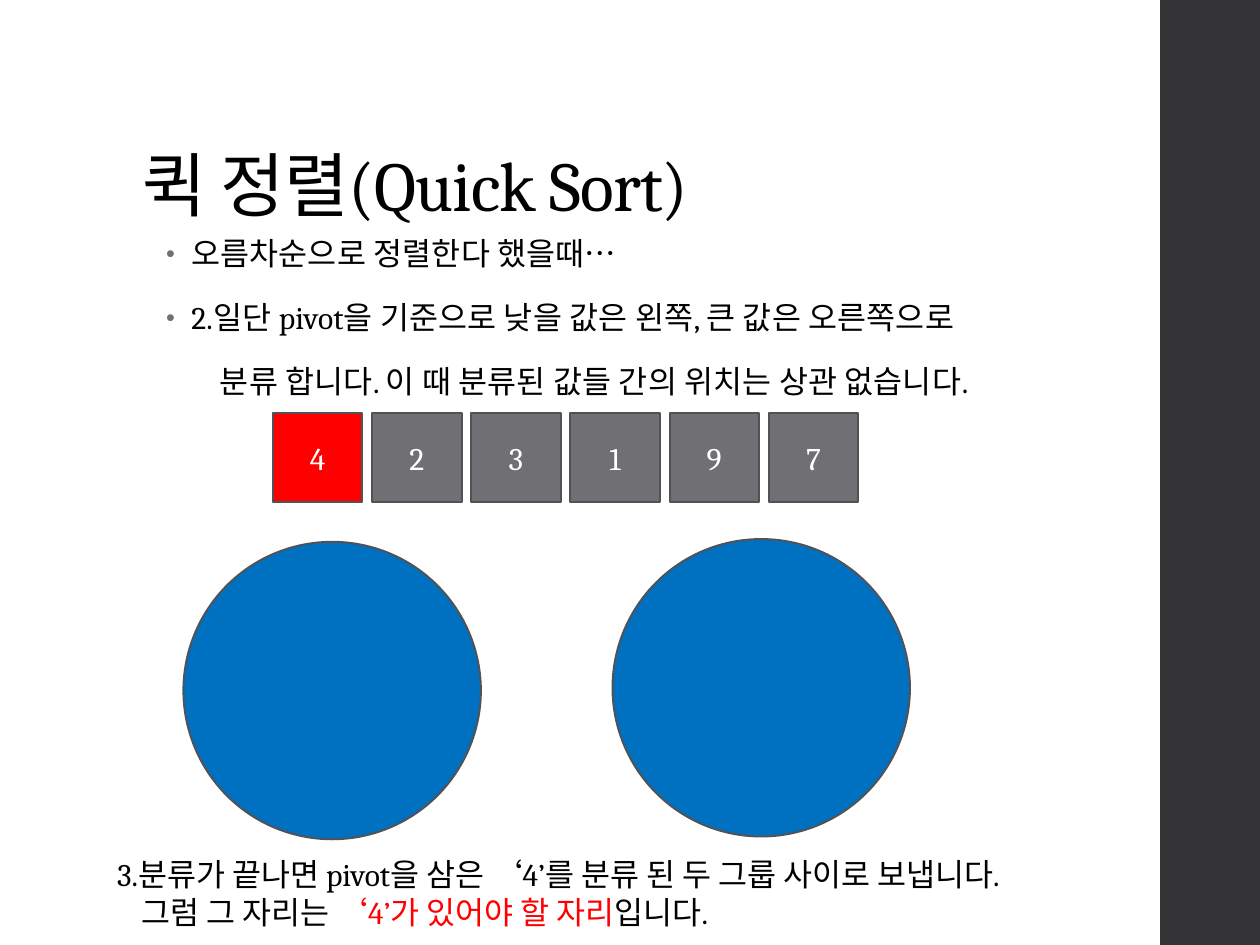
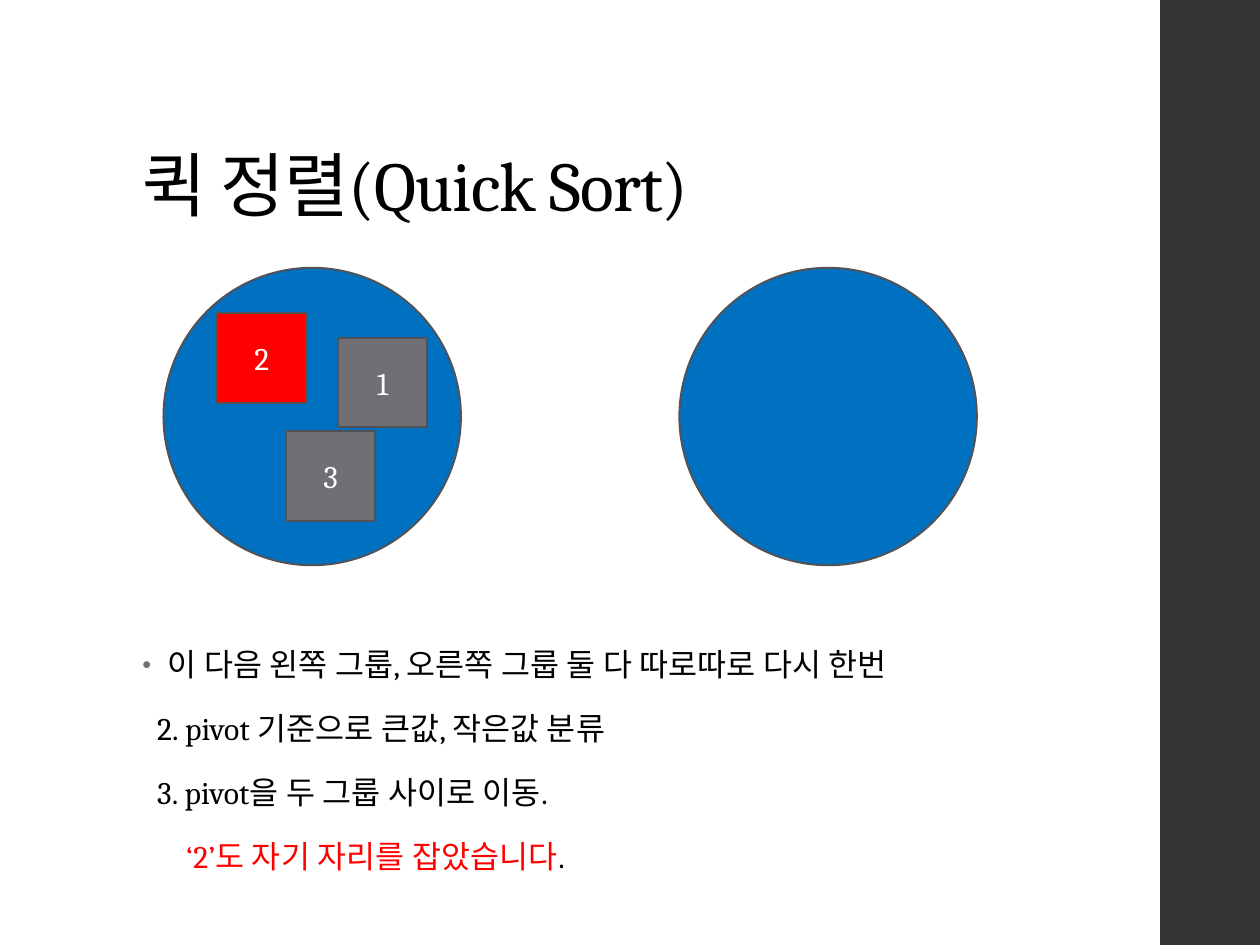
from dataclasses import dataclass

from lxml.etree import SubElement
from pptx import Presentation
from pptx.dml.color import RGBColor
from pptx.enum.shapes import MSO_SHAPE
from pptx.enum.text import MSO_ANCHOR, MSO_AUTO_SIZE, PP_ALIGN
from pptx.oxml.ns import qn
from pptx.util import Pt


@dataclass(frozen=True)
class Theme:
    font: str = "Cambria"
    title_size: int = 40
    text_size: int = 18
    text: str = "000000"
    light: str = "FFFFFF"
    accent: str = "FF0000"
    box: str = "6F6F74"
    group: str = "0070C0"
    outline: str = "525256"
    band: str = "353537"


theme = Theme()
BOX, CIRCLE = 51.1, 170

slides = [
    dict(
        body_at=(87.8, 131.8, 550, 342.7),
        body=[
            # (bullet, left indent, runs)
            (True, 14.4, [("오름차순으로 정렬한다 했을때…", theme.text)]),
            (True, 14.4, [("2.일단 pivot을 기준으로 낮을 값은 왼쪽, 큰 값은 오른쪽으로", theme.text)]),
            (False, 30.7, [("분류 합니다. 이 때 분류된 값들 간의 위치는 상관 없습니다.", theme.text)]),
        ],
        circles=[(104.8, 309.6), (350, 308)],
        boxes=[(n, 156 + 56.65 * i, 236) for i, n in enumerate("423197")],
        pivot="4",
    ),
    dict(
        body_at=(74.2, 366.5, 507.6, 153.4),
        body=[
            (True, 14.4, [("이 다음 왼쪽 그룹, 오른쪽 그룹 둘 다 따로따로 다시 한번", theme.text)]),
            (False, 8.4, [("2. pivot 기준으로 큰값, 작은값 분류", theme.text)]),
            (False, 8.4, [("3. pivot을 두 그룹 사이로 이동.", theme.text)]),
            (False, 25, [("‘2’도 자기 자리를 잡았습니다", theme.accent), (".", theme.text)]),
        ],
        circles=[(93.4, 153), (388.2, 153)],
        boxes=[("2", 124, 179), ("3", 163.4, 246.5), ("1", 193, 193)],
        pivot="2",
    ),
]
note = [
    (0, [("3.분류가 끝나면 pivot을 삼은 ‘4’를 분류 된 두 그룹 사이로 보냅니다.", theme.text)]),
    (14, [("그럼 그 자리는 ", theme.text), ("‘4’가 있어야 할 자리", theme.accent), ("입니다.", theme.text)]),
]


def add_runs(p, runs, size=theme.text_size, tracking=0):
    """Tracking is in hundredths of a point."""
    for text, color in runs:
        r = p.add_run()
        r.text = text
        r.font.name = theme.font
        r.font.size = Pt(size)
        r.font.color.rgb = RGBColor.from_string(color)
        if tracking:
            r._r.get_or_add_rPr().set("spc", str(tracking))


def add_filled(s, kind, at, fill, line=theme.outline):
    sp = s.shapes.add_shape(kind, *map(Pt, at))
    sp.shadow.inherit = False
    sp.fill.solid()
    sp.fill.fore_color.rgb = RGBColor.from_string(fill)
    if line:
        sp.line.color.rgb = RGBColor.from_string(line)
        sp.line.width = Pt(1.1)
    else:
        sp.line.fill.background()
    return sp


prs = Presentation()
prs.slide_width, prs.slide_height = Pt(720), Pt(540)
layout = prs.slide_layouts[1]

for number, content in enumerate(slides):
    s = prs.slides.add_slide(layout)

    # The side band belongs to the layout, so both slides inherit it
    if number == 0:
        band = add_filled(s, MSO_SHAPE.RECTANGLE, (663, 0, 57, 540), theme.band, line=None)
        layout.element.cSld.spTree.insert(2, band.element)

    title, body = s.placeholders[0], s.placeholders[1]
    for sp, at in ((title, (74.2, 28.8, 572.4, 104.4)), (body, content["body_at"])):
        sp.left, sp.top, sp.width, sp.height = map(Pt, at)
        sp.text_frame.auto_size = MSO_AUTO_SIZE.NONE
        sp.text_frame.word_wrap = True

    title.text_frame.vertical_anchor = MSO_ANCHOR.BOTTOM
    p = title.text_frame.paragraphs[0]
    p.alignment = PP_ALIGN.LEFT
    p.line_spacing = 0.9
    add_runs(p, [("퀵 정렬(Quick Sort)", theme.text)], theme.title_size, -50)

    tf = body.text_frame
    for i, (bullet, indent, runs) in enumerate(content["body"]):
        p = tf.add_paragraph() if i else tf.paragraphs[0]
        p.line_spacing = 0.95
        p.space_before, p.space_after = Pt(14), Pt(2)
        pPr = p._p.get_or_add_pPr()
        pPr.set("marL", str(Pt(indent)))
        pPr.set("indent", str(Pt(-indent if bullet else 0)))
        if bullet:
            color = SubElement(pPr, qn("a:buClr"))
            SubElement(color, qn("a:srgbClr"), val=theme.box)
            SubElement(pPr, qn("a:buSzPct"), val="80000")
            SubElement(pPr, qn("a:buFont"), typeface="Arial")
            SubElement(pPr, qn("a:buChar"), char="•")
        else:
            SubElement(pPr, qn("a:buNone"))
        add_runs(p, runs, tracking=10)

    for left, top in content["circles"]:
        add_filled(s, MSO_SHAPE.OVAL, (left, top, CIRCLE, CIRCLE), theme.group)

    for value, left, top in content["boxes"]:
        fill = theme.accent if value == content["pivot"] else theme.box
        sp = add_filled(s, MSO_SHAPE.RECTANGLE, (left, top, BOX, BOX), fill)
        tf = sp.text_frame
        tf.vertical_anchor = MSO_ANCHOR.MIDDLE
        tf.paragraphs[0].alignment = PP_ALIGN.CENTER
        add_runs(tf.paragraphs[0], [(value, theme.light)])

    if number == 0:
        tf = s.shapes.add_textbox(Pt(59.8), Pt(485.3), Pt(558), Pt(51)).text_frame
        tf.word_wrap = False
        tf.auto_size = MSO_AUTO_SIZE.SHAPE_TO_FIT_TEXT
        for i, (indent, runs) in enumerate(note):
            p = tf.add_paragraph() if i else tf.paragraphs[0]
            p._p.get_or_add_pPr().set("marL", str(Pt(indent)))
            add_runs(p, runs)

prs.save("out.pptx")
